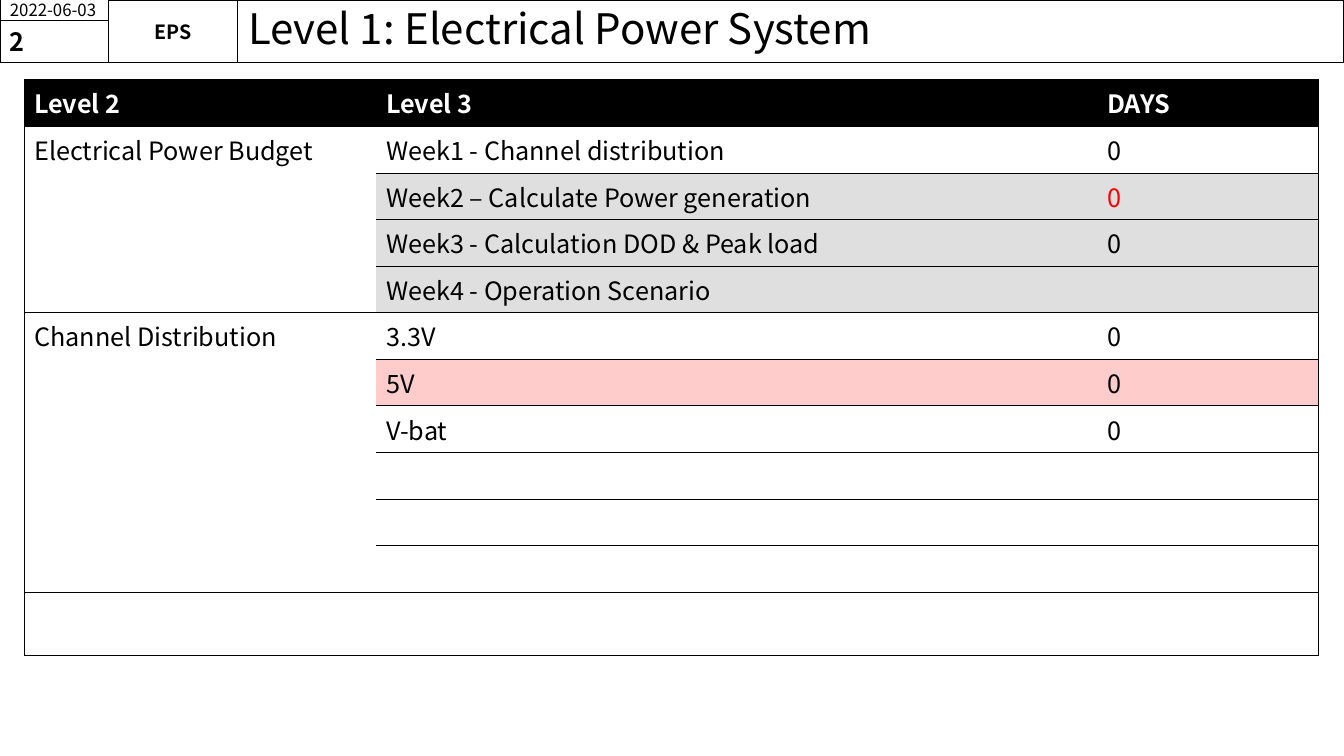
from dataclasses import dataclass

from lxml.etree import SubElement
from pptx import Presentation
from pptx.dml.color import RGBColor
from pptx.enum.shapes import MSO_SHAPE
from pptx.enum.text import MSO_ANCHOR, MSO_AUTO_SIZE, PP_ALIGN
from pptx.oxml.ns import qn
from pptx.util import Inches, Pt


@dataclass(frozen=True)
class Theme:
    font: str = "Noto Sans CJK KR"
    black: str = "000000"
    white: str = "FFFFFF"
    red: str = "FF0000"
    grey: str = "DFDFDF"
    pink: str = "FFCCCC"
    title_size: int = 30
    body_size: int = 18
    code_size: int = 14
    date_size: int = 12
    frame_width: float = 0.75
    border_width: float = 0.5


THEME = Theme()
HEADER_HEIGHT = 0.62
TITLE_LEFT = 2.36
COLUMN_WIDTHS = (3.49, 7.15, 2.2)
ROW_HEIGHT = 0.46
LAST_ROW_HEIGHT = 0.63
ROWS = [
    ("Level 2", "Level 3", "DAYS"),
    ("Electrical Power Budget", "Week1 - Channel distribution", "0"),
    ("", "Week2 – Calculate Power generation", "0"),
    ("", "Week3 - Calculation DOD & Peak load", "0"),
    ("", "Week4 - Operation Scenario", ""),
    ("Channel Distribution", "3.3V", "0"),
    ("", "5V", "0"),
    ("", "V-bat", "0"),
    ("", "", ""),
    ("", "", ""),
    ("", "", ""),
    ("", "", ""),
]
GROUPS = [(1, 4), (5, 10)]
ROW_FILLS = {0: THEME.black, 2: THEME.grey, 3: THEME.grey, 4: THEME.grey, 6: THEME.pink}
OVERDUE_CELL = (2, 2)


def style_paragraph(para, size, color=THEME.black, bold=False, align=PP_ALIGN.LEFT):
    para.alignment = align
    para.font.name = THEME.font
    para.font.size = Pt(size)
    para.font.bold = bold
    para.font.color.rgb = RGBColor.from_string(color)


def frame_box(box):
    box.fill.background()
    box.line.color.rgb = RGBColor.from_string(THEME.black)
    box.line.width = Pt(THEME.frame_width)
    box.text_frame.vertical_anchor = MSO_ANCHOR.MIDDLE


def add_title(page, text):
    title = page.shapes.title
    title.left, title.top = Inches(TITLE_LEFT), Inches(0)
    title.width, title.height = Inches(10.97), Inches(HEADER_HEIGHT)
    title.text_frame.text = text
    title.text_frame.auto_size = MSO_AUTO_SIZE.NONE
    frame_box(title)
    para = title.text_frame.paragraphs[0]
    para.line_spacing = 0.9
    style_paragraph(para, THEME.title_size)


def add_header_box(page, text, left, top, width, height, size, bold=False, align=PP_ALIGN.LEFT):
    box = page.shapes.add_shape(
        MSO_SHAPE.RECTANGLE, Inches(left), Inches(top), Inches(width), Inches(height)
    )
    box.shadow.inherit = False
    frame_box(box)
    box.text_frame.text = text
    box.text_frame.word_wrap = True
    style_paragraph(box.text_frame.paragraphs[0], size, bold=bold, align=align)
    return box


def set_borders(cell, sides):
    properties = cell._tc.get_or_add_tcPr()
    for index, side in enumerate("LRTB"):
        line = SubElement(properties, qn(f"a:ln{side}"))
        properties.insert(index, line)
        if side in sides:
            line.set("w", str(Pt(THEME.border_width)))
            fill = SubElement(line, qn("a:solidFill"))
            SubElement(fill, qn("a:srgbClr"), val=THEME.black)
        else:
            SubElement(line, qn("a:noFill"))


def format_cell(cell, row, column):
    if row in ROW_FILLS and (row == 0 or column > 0):
        cell.fill.solid()
        cell.fill.fore_color.rgb = RGBColor.from_string(ROW_FILLS[row])
    else:
        cell.fill.background()
    color = THEME.white if row == 0 else THEME.black
    if (row, column) == OVERDUE_CELL:
        color = THEME.red
    style_paragraph(cell.text_frame.paragraphs[0], THEME.body_size, color, bold=row == 0)
    sides = "" if cell.is_spanned else "TB"
    set_borders(cell, sides + {0: "L", len(COLUMN_WIDTHS) - 1: "R"}.get(column, ""))


def add_schedule(page):
    heights = [ROW_HEIGHT] * (len(ROWS) - 1) + [LAST_ROW_HEIGHT]
    table = page.shapes.add_table(
        len(ROWS), len(COLUMN_WIDTHS), Inches(0.24), Inches(0.79),
        Inches(sum(COLUMN_WIDTHS)), Inches(sum(heights)),
    ).table
    table.first_row = False
    table.horz_banding = False
    for column, width in zip(table.columns, COLUMN_WIDTHS):
        column.width = Inches(width)
    for row, height in zip(table.rows, heights):
        row.height = Inches(height)
    for first, last in GROUPS:
        table.cell(first, 0).merge(table.cell(last, 0))
    for row, texts in enumerate(ROWS):
        for column, text in enumerate(texts):
            cell = table.cell(row, column)
            if text:
                cell.text = text
            format_cell(cell, row, column)


def main():
    deck = Presentation()
    deck.slide_width, deck.slide_height = Inches(13.33), Inches(7.5)
    page = deck.slides.add_slide(deck.slide_layouts[5])
    add_title(page, "Level 1: Electrical Power System")
    add_header_box(page, "2022-06-03", 0, 0, 1.08, 0.2, THEME.date_size)
    code = add_header_box(
        page, "EPS", 1.08, 0, 1.28, HEADER_HEIGHT, THEME.code_size, True, PP_ALIGN.CENTER
    )
    frame = code.text_frame
    frame.margin_left = frame.margin_right = frame.margin_top = frame.margin_bottom = 0
    add_header_box(page, "2", 0, 0.2, 1.08, 0.42, THEME.body_size, True)
    add_schedule(page)
    deck.save("out.pptx")


if __name__ == "__main__":
    main()
